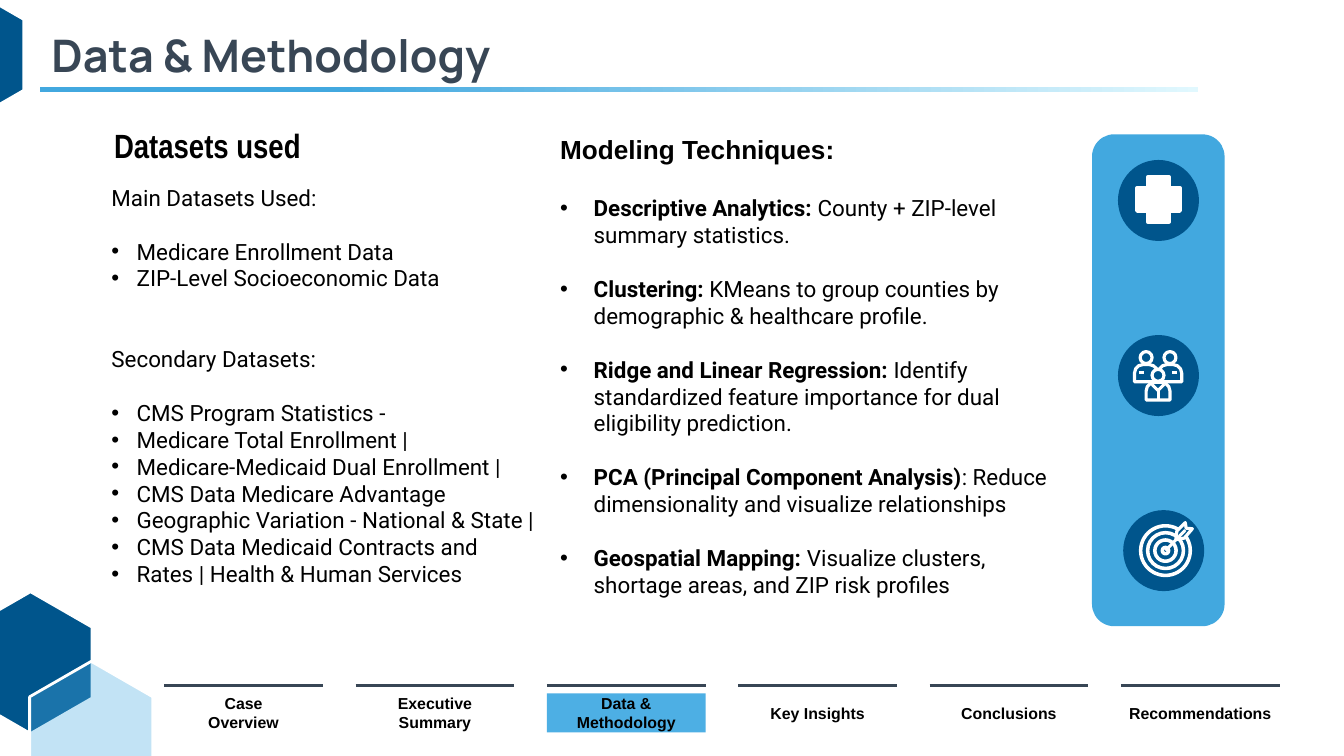
import pptx
import pptx.util
import pptx.dml.color
import pptx.enum.shapes
import pptx.enum.text
from dataclasses import dataclass
from lxml import etree

Pt = pptx.util.Pt
Kind = pptx.enum.shapes.MSO_SHAPE
Straight = pptx.enum.shapes.MSO_CONNECTOR.STRAIGHT
Mid = pptx.enum.text.MSO_ANCHOR.MIDDLE
Center = pptx.enum.text.PP_ALIGN.CENTER
Rgb = pptx.dml.color.RGBColor.from_string


@dataclass(frozen=True)
class Theme:
    navy: str = "00558C"
    sky: str = "42A8DF"
    pale: str = "E1F8FE"
    tab: str = "4DAFE4"
    slate: str = "384655"
    black: str = "000000"
    white: str = "FFFFFF"
    title: float = 24
    head: float = 18
    sub: float = 14
    body: float = 12
    nav: float = 8.5


theme = Theme()
deck = pptx.Presentation()
deck.slide_width, deck.slide_height = Pt(720), Pt(405)
slide = deck.slides.add_slide(deck.slide_layouts[6])
shapes = slide.shapes


def style(item, fill=None, line=None, width=1.5):
    """Set fill and line, and take the shadow away."""
    if hasattr(item, "fill"):
        item.shadow.inherit = False
        if fill:
            item.fill.solid()
            item.fill.fore_color.rgb = Rgb(fill)
        else:
            item.fill.background()
    else:
        etree.SubElement(item._element.spPr, pptx.oxml.ns.qn("a:effectLst"))
    if line:
        item.line.color.rgb = Rgb(line)
        item.line.width = Pt(width)
    else:
        item.line.fill.background()
    return item


def write(frame, text, lead="", size=theme.body, font="Roboto", color=theme.black,
          bold=False, align=None, before=0, bullet=0):
    """Add one paragraph, with an optional bold lead and a bullet indent."""
    frame.word_wrap = True
    para = frame.add_paragraph() if frame.text else frame.paragraphs[0]
    if bullet:
        props = para._p.get_or_add_pPr()
        props.set("marL", str(Pt(bullet)))
        props.set("indent", str(-Pt(bullet)))
        tint = etree.SubElement(props, pptx.oxml.ns.qn("a:buClr"))
        etree.SubElement(tint, pptx.oxml.ns.qn("a:srgbClr"), val=theme.black)
        etree.SubElement(props, pptx.oxml.ns.qn("a:buFont"), typeface="Arial")
        etree.SubElement(props, pptx.oxml.ns.qn("a:buChar"), char="•")
    if align is not None:
        para.alignment = align
    if before:
        para.space_before = Pt(before)
    for part, heavy in ((lead, True), (text, bold)):
        if part:
            run = para.add_run()
            run.text = part
            run.font.size, run.font.name, run.font.bold = Pt(size), font, heavy
            run.font.color.rgb = Rgb(color)


# Title and its fading rule
frame = shapes.add_textbox(Pt(20.5), Pt(13), Pt(500), Pt(33)).text_frame
frame.vertical_anchor = Mid
write(frame, "Data & Methodology", size=theme.title, font="Manrope",
      color=theme.slate, bold=True)
rule = style(shapes.add_shape(Kind.RECTANGLE, Pt(21.6), Pt(46.6), Pt(620.5), Pt(3)))
rule.fill.gradient()
rule.fill.gradient_angle = 180
for stop, color, place in zip(rule.fill.gradient_stops, (theme.pale, theme.sky), (0, 0.74)):
    stop.color.rgb = Rgb(color)
    stop.position = place

# Corner hexagons: center, color, opacity in percent
for x, y, color, alpha in ((16.4, 355, theme.navy, 100), (48.9, 392.3, theme.tab, 34),
                           (-20.2, 29.4, theme.navy, 100)):
    build = shapes.build_freeform(Pt(x), Pt(y - 38))
    build.add_line_segments([(Pt(x + dx), Pt(y + dy)) for dx, dy in
                             ((33, -19), (33, 19), (0, 38), (-33, 19), (-33, -19))])
    cell = style(build.convert_to_shape(), color, theme.white)
    if alpha < 100:
        tint = cell.fill._xPr.find(".//" + pptx.oxml.ns.qn("a:srgbClr"))
        etree.SubElement(tint, pptx.oxml.ns.qn("a:alpha"), val=str(alpha * 1000))

# Datasets column
frame = shapes.add_textbox(Pt(54), Pt(56.2), Pt(156), Pt(42.5)).text_frame
frame.vertical_anchor = Mid
write(frame, "Datasets used", size=theme.head, font="Arial Narrow", bold=True)

frame = shapes.add_textbox(Pt(52.6), Pt(91.4), Pt(278), Pt(230)).text_frame
frame.margin_top = Pt(7.2)
groups = {
    "Main Datasets Used:": ["Medicare Enrollment Data", "ZIP-Level Socioeconomic Data"],
    "Secondary Datasets:": [
        "CMS Program Statistics -", "Medicare Total Enrollment |",
        "Medicare-Medicaid Dual Enrollment |", "CMS Data Medicare Advantage",
        "Geographic Variation - National & State |",
        "CMS Data Medicaid Contracts and", "Rates | Health & Human Services"],
}
for n, (head, names) in enumerate(groups.items()):
    write(frame, head, before=28.8 * n)
    for k, name in enumerate(names):
        write(frame, name, bullet=13.5, before=0 if k else 14.4)

# Modeling column
frame = shapes.add_textbox(Pt(293), Pt(67.9), Pt(278.6), Pt(259)).text_frame
write(frame, "Modeling Techniques:", size=theme.sub, font="Arial", bold=True)
for lead, text in (
        ("Descriptive Analytics:", " County + ZIP-level summary statistics."),
        ("Clustering:", " KMeans to group counties by demographic & healthcare profile."),
        ("Ridge and Linear Regression:", " Identify standardized feature importance "
         "for dual eligibility prediction."),
        ("PCA (Principal Component Analysis)", ": Reduce dimensionality and visualize "
         "relationships"),
        ("Geospatial Mapping:", " Visualize clusters, shortage areas, and ZIP risk profiles")):
    write(frame, text, lead=lead, bullet=18, before=14.4 if "Desc" not in lead else 16)

# Icon panel with three discs
panel = shapes.add_shape(Kind.ROUNDED_RECTANGLE, Pt(585), Pt(72), Pt(71), Pt(263.5))
style(panel, theme.sky)
for x, y in ((620.6, 107.4), (620.6, 201.2), (623.4, 295)):
    style(shapes.add_shape(Kind.OVAL, Pt(x - 21.7), Pt(y - 21.7), Pt(43.4), Pt(43.4)), theme.navy)

# Cross icon
style(shapes.add_shape(Kind.CROSS, Pt(609.1), Pt(95), Pt(23), Pt(23.8)),
      theme.white, theme.white, 2)

# People icon: bodies and heads, back to front
for x, y, wide, tall in ((614, 195.3, 12.5, 9.2), (626.8, 195.3, 12.5, 9.2),
                         (620.4, 204.8, 12.8, 9.5)):
    body = shapes.add_shape(Kind.ROUND_2_SAME_RECTANGLE, Pt(x - wide / 2), Pt(y),
                            Pt(wide), Pt(tall))
    body.adjustments[0] = 0.5
    style(body, theme.navy, theme.white, 1.7)
    head = shapes.add_shape(Kind.OVAL, Pt(x - 3.2), Pt(y - 6.9), Pt(6.4), Pt(6.4))
    style(head, theme.navy, theme.white, 1.7)

# Target icon: rings and feathers
for r in (13.3, 9.6, 5.7, 1.7):
    ring = shapes.add_shape(Kind.OVAL, Pt(624.4 - r), Pt(295 - r), Pt(2 * r), Pt(2 * r))
    style(ring, line=theme.white, width=1.9)
build = shapes.build_freeform(Pt(630), Pt(289))
build.add_line_segments([(Pt(x), Pt(y)) for x, y in (
    (630.5, 284.5), (635, 280), (635.5, 283), (638.8, 283.3), (634.5, 288.3))])
style(build.convert_to_shape(), theme.navy, theme.white, 1.7)

# Strokes: arms, lapels and seam of the people, then the arrow shaft
for x, y, u, v in ((610, 199.4, 612.8, 199.4), (628, 199.4, 630.8, 199.4),
                   (617.2, 206, 620.4, 209.2), (623.6, 206, 620.4, 209.2),
                   (620.4, 209.2, 620.4, 214), (624.4, 295, 635, 284)):
    style(shapes.add_connector(Straight, Pt(x), Pt(y), Pt(u), Pt(v)),
          line=theme.white, width=1.6)

# Section tabs; the last label needs a wider box
tabs = (["Case", "Overview"], ["Executive Summary"], ["Data & Methodology"],
        ["Key Insights"], ["Conclusions"], ["Recommendations"])
for n, label in enumerate(tabs):
    x = 88 + 102.5 * n
    extra = 6 if n == 5 else 0
    box = shapes.add_shape(Kind.RECTANGLE, Pt(x - extra), Pt(371.5), Pt(85 + 2 * extra), Pt(20.9))
    style(box, theme.tab if n == 2 else None)
    box.text_frame.vertical_anchor = Mid
    for text in label:
        write(box.text_frame, text, size=theme.nav, font="Arial", bold=True, align=Center)
    style(shapes.add_connector(Straight, Pt(x), Pt(367.2), Pt(x + 85), Pt(367.2)),
          line=theme.slate)

deck.save("out.pptx")
